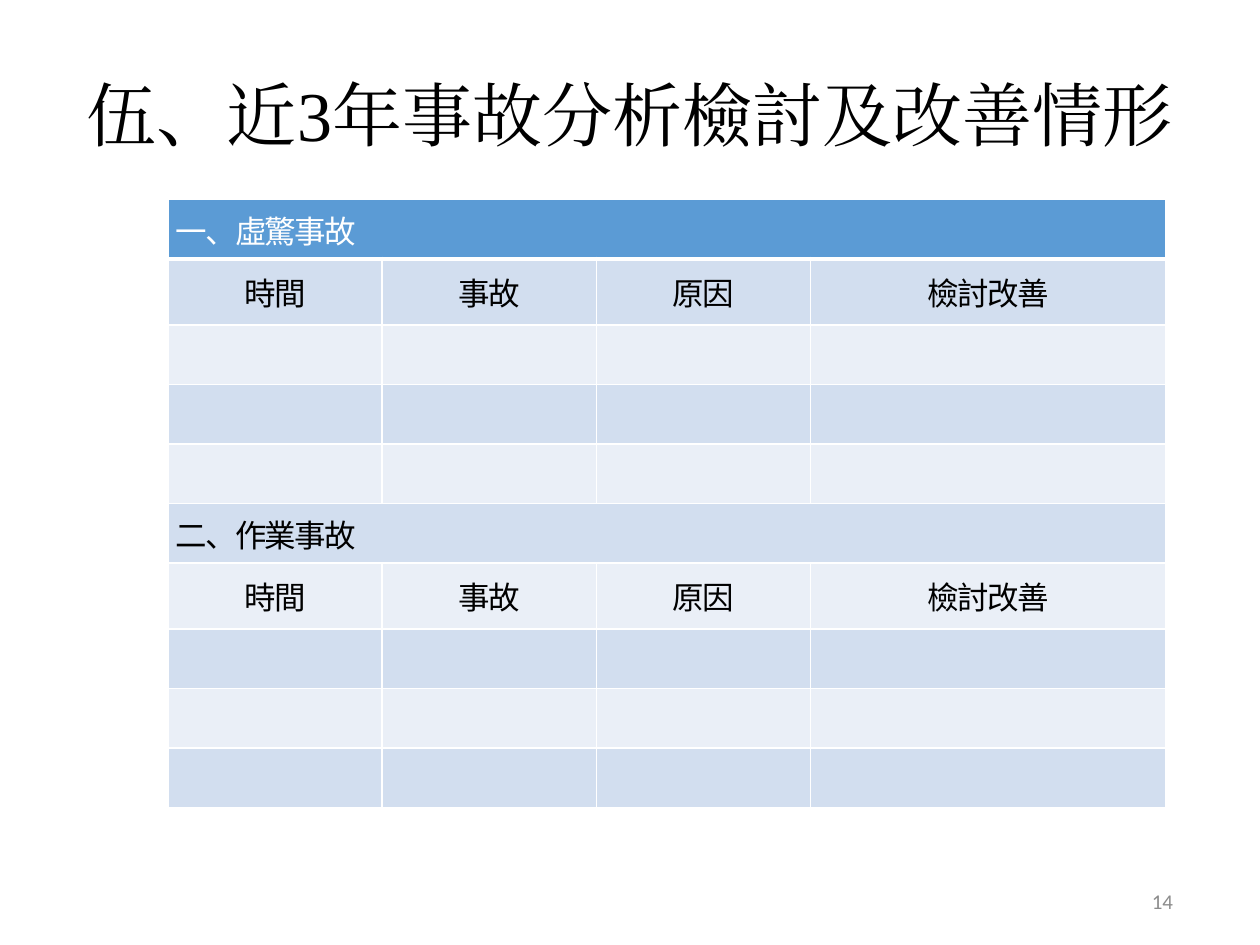
"""Build the slide reviewing three years of accidents and improvements."""
from lxml.etree import SubElement
from pptx import Presentation
from pptx.dml.color import RGBColor
from pptx.enum.text import MSO_ANCHOR, MSO_AUTO_SIZE, PP_ALIGN
from pptx.oxml.ns import qn
from pptx.util import Pt

TITLE = "伍、近3年事故分析檢討及改善情形"
SECTIONS = ["一、虛驚事故", "二、作業事故"]
HEADINGS = ["時間", "事故", "原因", "檢討改善"]
EMPTY_ROWS = 3
PAGE_NUMBER = "14"

COLUMN_WIDTHS = [122.4, 122.4, 122.4, 203]
ROW_HEIGHT, HEADING_HEIGHT = 34, 37.8
TABLE_LEFT, TABLE_TOP = 96, 114

BLACK = RGBColor(0, 0, 0)
WHITE = RGBColor(255, 255, 255)
GRAY = RGBColor(0x8C, 0x8C, 0x8C)
BLUE = RGBColor(0x5B, 0x9B, 0xD5)
BANDS = [RGBColor(0xEA, 0xEF, 0xF7), RGBColor(0xD2, 0xDE, 0xEF)]
TABLE_FONT = "Noto Sans CJK SC"


def write(frame, text, size=18, font=TABLE_FONT, color=BLACK, align=PP_ALIGN.LEFT, spacing=0):
    frame.word_wrap = True
    frame.vertical_anchor = MSO_ANCHOR.MIDDLE
    para = frame.paragraphs[0]
    para.alignment = align
    span = para.add_run()
    span.text = text
    span.font.size = Pt(size)
    span.font.name = font
    span.font.color.rgb = color
    properties = span.font._element
    properties.set("spc", str(round(spacing * 100)))
    SubElement(properties, qn("a:ea"), typeface=font)


def clear_margins(frame):
    frame.margin_left = frame.margin_right = frame.margin_top = frame.margin_bottom = 0


def style_cell(cell, fill, bottom=1):
    cell.margin_left = cell.margin_right = Pt(4.3)
    cell.margin_top = cell.margin_bottom = Pt(2.2)
    cell.vertical_anchor = MSO_ANCHOR.MIDDLE
    properties = cell._tc.get_or_add_tcPr()
    for side, width in (("L", 1), ("R", 1), ("T", 1), ("B", bottom)):
        line = SubElement(properties, qn(f"a:ln{side}"), w=str(Pt(width)))
        solid = SubElement(line, qn("a:solidFill"))
        SubElement(solid, qn("a:srgbClr"), val=str(WHITE))
    cell.fill.solid()
    cell.fill.fore_color.rgb = fill


def add_accident_table(page):
    block = 2 + EMPTY_ROWS
    heights = ([ROW_HEIGHT, HEADING_HEIGHT] + [ROW_HEIGHT] * EMPTY_ROWS) * len(SECTIONS)
    table = page.shapes.add_table(
        len(heights), len(HEADINGS), Pt(TABLE_LEFT), Pt(TABLE_TOP),
        Pt(sum(COLUMN_WIDTHS)), Pt(sum(heights))).table
    for column, width in zip(table.columns, COLUMN_WIDTHS):
        column.width = Pt(width)
    for index, height in enumerate(heights):
        table.rows[index].height = Pt(height)
        for column in range(len(HEADINGS)):
            fill = BANDS[index % 2] if index else BLUE
            style_cell(table.cell(index, column), fill, bottom=1 if index else 3)
    for number, section in enumerate(SECTIONS):
        top = number * block
        first = table.cell(top, 0)
        first.merge(table.cell(top, len(HEADINGS) - 1))
        write(first.text_frame, section, color=BLACK if number else WHITE, spacing=-1)
        for column, heading in enumerate(HEADINGS):
            write(table.cell(top + 1, column).text_frame, heading,
                  align=PP_ALIGN.CENTER, spacing=-1)


def main():
    deck = Presentation()
    deck.slide_width, deck.slide_height = Pt(720), Pt(540)
    page = deck.slides.add_slide(deck.slide_layouts[5])

    title = page.shapes.title
    title.left, title.top, title.width, title.height = Pt(48.2), Pt(41), Pt(623.5), Pt(48.2)
    clear_margins(title.text_frame)
    title.text_frame.margin_left = Pt(1.4)
    title.text_frame.auto_size = MSO_AUTO_SIZE.NONE
    write(title.text_frame, TITLE, size=40, font="Times New Roman", spacing=0.1)

    add_accident_table(page)

    box = page.shapes.add_textbox(Pt(508.3), Pt(500.4), Pt(162), Pt(28.8))
    clear_margins(box.text_frame)
    write(box.text_frame, PAGE_NUMBER, size=12, font="Calibri", color=GRAY, align=PP_ALIGN.RIGHT)

    deck.save("out.pptx")


if __name__ == "__main__":
    main()
